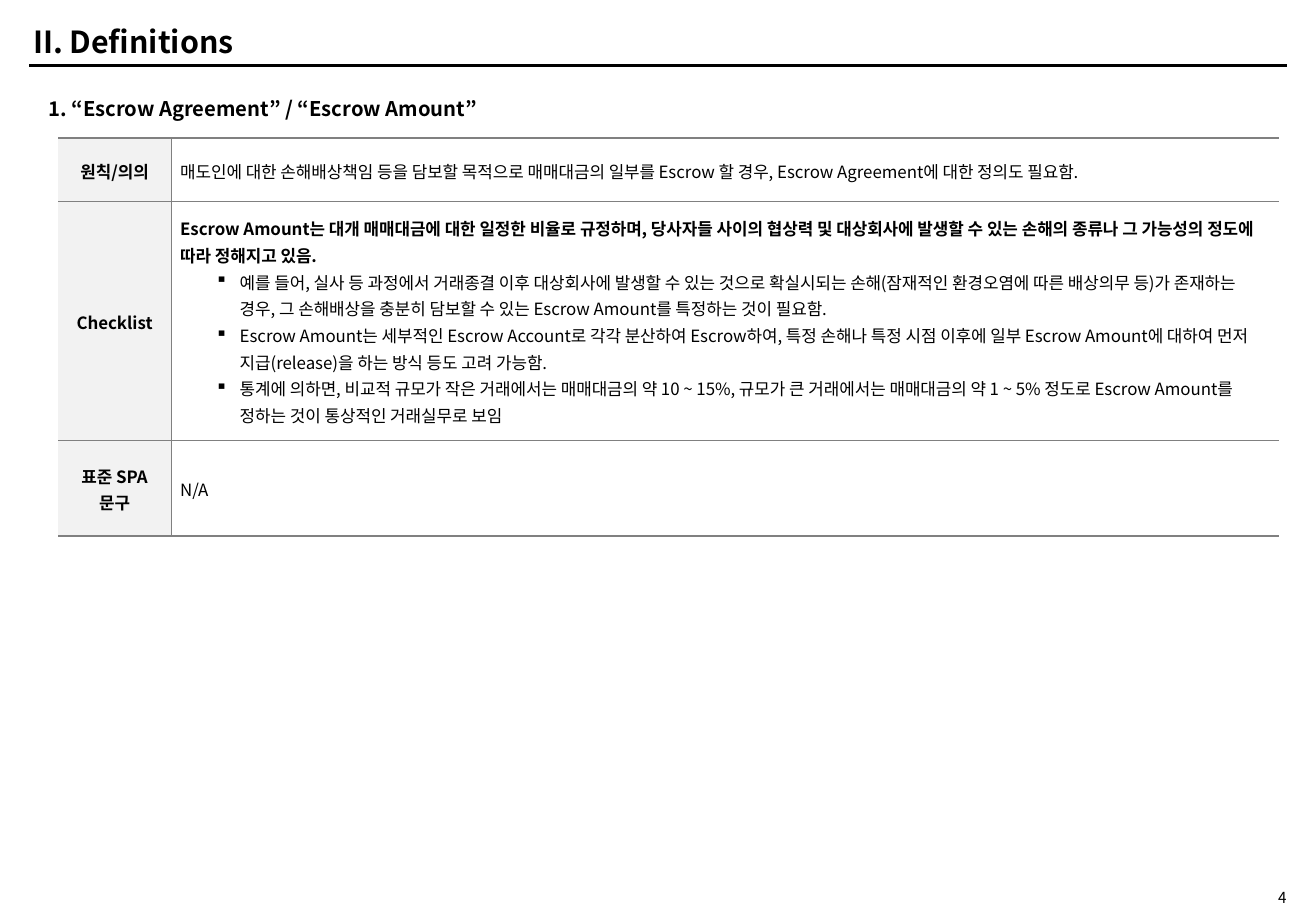
from copy import deepcopy
from dataclasses import dataclass

from lxml import etree
from pptx import Presentation
from pptx.dml.color import RGBColor
from pptx.enum import shapes, text
from pptx.oxml import ns
from pptx.util import Pt

FONT = "Noto Sans CJK KR"
COLORS = {"ink": "000000", "border": "808080", "label": "F2F2F2"}
OUTER_BORDER, INNER_BORDER = 1, 0.5
COLUMN_WIDTHS = (67, 656.6)


@dataclass
class Line:
    content: str
    bold: bool = False
    bullet: bool = False


@dataclass
class Row:
    label: str
    height: float
    lines: list[Line]


ROWS = [
    Row("원칙/의의", 37.4, [
        Line("매도인에 대한 손해배상책임 등을 담보할 목적으로 매매대금의 일부를 Escrow 할 경우, "
             "Escrow Agreement에 대한 정의도 필요함."),
    ]),
    Row("Checklist", 141.6, [
        Line("Escrow Amount는 대개 매매대금에 대한 일정한 비율로 규정하며, 당사자들 사이의 협상력 및 "
             "대상회사에 발생할 수 있는 손해의 종류나 그 가능성의 정도에 따라 정해지고 있음.", bold=True),
        Line("예를 들어, 실사 등 과정에서 거래종결 이후 대상회사에 발생할 수 있는 것으로 확실시되는 "
             "손해(잠재적인 환경오염에 따른 배상의무 등)가 존재하는 경우, 그 손해배상을 충분히 담보할 수 있는 "
             "Escrow Amount를 특정하는 것이 필요함.", bullet=True),
        Line("Escrow Amount는 세부적인 Escrow Account로 각각 분산하여 Escrow하여, 특정 손해나 "
             "특정 시점 이후에 일부 Escrow Amount에 대하여 먼저 지급(release)을 하는 방식 등도 "
             "고려 가능함.", bullet=True),
        Line("통계에 의하면, 비교적 규모가 작은 거래에서는 매매대금의 약 10 ~ 15%, 규모가 큰 거래에서는 "
             "매매대금의 약 1 ~ 5% 정도로 Escrow Amount를 정하는 것이 통상적인 거래실무로 보임", bullet=True),
    ]),
    Row("표준 SPA\n문구", 56.8, [Line("N/A")]),
]


def write_text(paragraph, content: str, *, size: float = 10, bold: bool = False,
               align=text.PP_ALIGN.LEFT, spacing: float = 1.0, bullet: bool = False) -> None:
    paragraph.text = content
    paragraph.alignment = align
    paragraph.line_spacing = spacing
    for run in paragraph.runs:
        run.font.size = Pt(size)
        run.font.bold = bold
        run.font.name = FONT
        run.font.color.rgb = RGBColor.from_string(COLORS["ink"])
        properties = run.font._element
        etree.SubElement(properties, ns.qn("a:ea"), typeface=FONT)
        # Line breaks take the size of the text around them
        for line_break in paragraph._p.findall(ns.qn("a:br")):
            if len(line_break) == 0:
                line_break.append(deepcopy(properties))
    if bullet:
        paragraph.level = 1
        properties = paragraph._p.get_or_add_pPr()
        properties.set("marL", str(Pt(35.3)))
        properties.set("indent", str(Pt(-14.4)))
        etree.SubElement(properties, ns.qn("a:buChar"), char="▪")


def set_borders(cell, widths: dict[str, float]) -> None:
    properties = cell._tc.get_or_add_tcPr()
    for position, side in enumerate("LRTB"):
        width = widths.get(side, 0)
        line = etree.Element(ns.qn(f"a:ln{side}"), w=str(Pt(width)))
        if width:
            fill = etree.SubElement(line, ns.qn("a:solidFill"))
            etree.SubElement(fill, ns.qn("a:srgbClr"), val=COLORS["border"])
        else:
            etree.SubElement(line, ns.qn("a:noFill"))
        properties.insert(position, line)


def place_text(shape, left: float, top: float, width: float, height: float,
               content: str, **formatting) -> None:
    shape.left, shape.top = Pt(left), Pt(top)
    shape.width, shape.height = Pt(width), Pt(height)
    frame = shape.text_frame
    frame.word_wrap = True
    frame.auto_size = text.MSO_AUTO_SIZE.NONE
    frame.vertical_anchor = text.MSO_ANCHOR.MIDDLE
    frame.margin_top = frame.margin_bottom = 0
    write_text(frame.paragraphs[0], content, **formatting)


def fill_cell(cell, lines: list[Line], align) -> None:
    cell.vertical_anchor = text.MSO_ANCHOR.MIDDLE
    cell.margin_left = cell.margin_right = Pt(5.4)
    cell.margin_top = cell.margin_bottom = 0
    frame = cell.text_frame
    for number, line in enumerate(lines):
        paragraph = frame.add_paragraph() if number else frame.paragraphs[0]
        write_text(paragraph, line.content, bold=line.bold, bullet=line.bullet,
                   align=align, spacing=1.1)


def add_definition_table(slide) -> None:
    height = sum(row.height for row in ROWS)
    table = slide.shapes.add_table(len(ROWS), 2, Pt(34.4), Pt(81.9),
                                   Pt(sum(COLUMN_WIDTHS)), Pt(height)).table
    table.first_row = table.horz_banding = False
    for column, width in zip(table.columns, COLUMN_WIDTHS):
        column.width = Pt(width)
    for number, row in enumerate(ROWS):
        table.rows[number].height = Pt(row.height)
        label, body = table.cell(number, 0), table.cell(number, 1)
        fill_cell(label, [Line(row.label, bold=True)], text.PP_ALIGN.CENTER)
        fill_cell(body, row.lines, text.PP_ALIGN.LEFT)
        label.fill.solid()
        label.fill.fore_color.rgb = RGBColor.from_string(COLORS["label"])
        body.fill.background()
        edges = {"T": INNER_BORDER if number else OUTER_BORDER,
                 "B": INNER_BORDER if number < len(ROWS) - 1 else OUTER_BORDER}
        set_borders(label, edges | {"R": INNER_BORDER})
        set_borders(body, edges | {"L": INNER_BORDER})


def main() -> None:
    presentation = Presentation()
    presentation.slide_width, presentation.slide_height = Pt(780), Pt(540)
    slide = presentation.slides.add_slide(presentation.slide_layouts[5])

    # Title and the rule below it
    place_text(slide.shapes.title, 12.4, 10.8, 368, 27.4, "II. Definitions", size=18, bold=True)
    rule = slide.shapes.add_connector(shapes.MSO_CONNECTOR.STRAIGHT,
                                      Pt(17.3), Pt(38.8), Pt(763), Pt(38.8))
    rule.line.width = Pt(2)
    rule.line.color.rgb = RGBColor.from_string(COLORS["ink"])
    etree.SubElement(rule._element.spPr, ns.qn("a:effectLst"))

    # Section heading and table
    place_text(slide.shapes.add_textbox(0, 0, 0, 0), 21.6, 53.3, 437, 21.6,
               "1. “Escrow Agreement” / “Escrow Amount”", size=12, bold=True)
    add_definition_table(slide)

    # Page number
    place_text(slide.shapes.add_textbox(0, 0, 0, 0), 702, 526.3, 67.7, 10.8,
               "4", size=9, align=text.PP_ALIGN.RIGHT)

    presentation.save("out.pptx")


if __name__ == "__main__":
    main()
